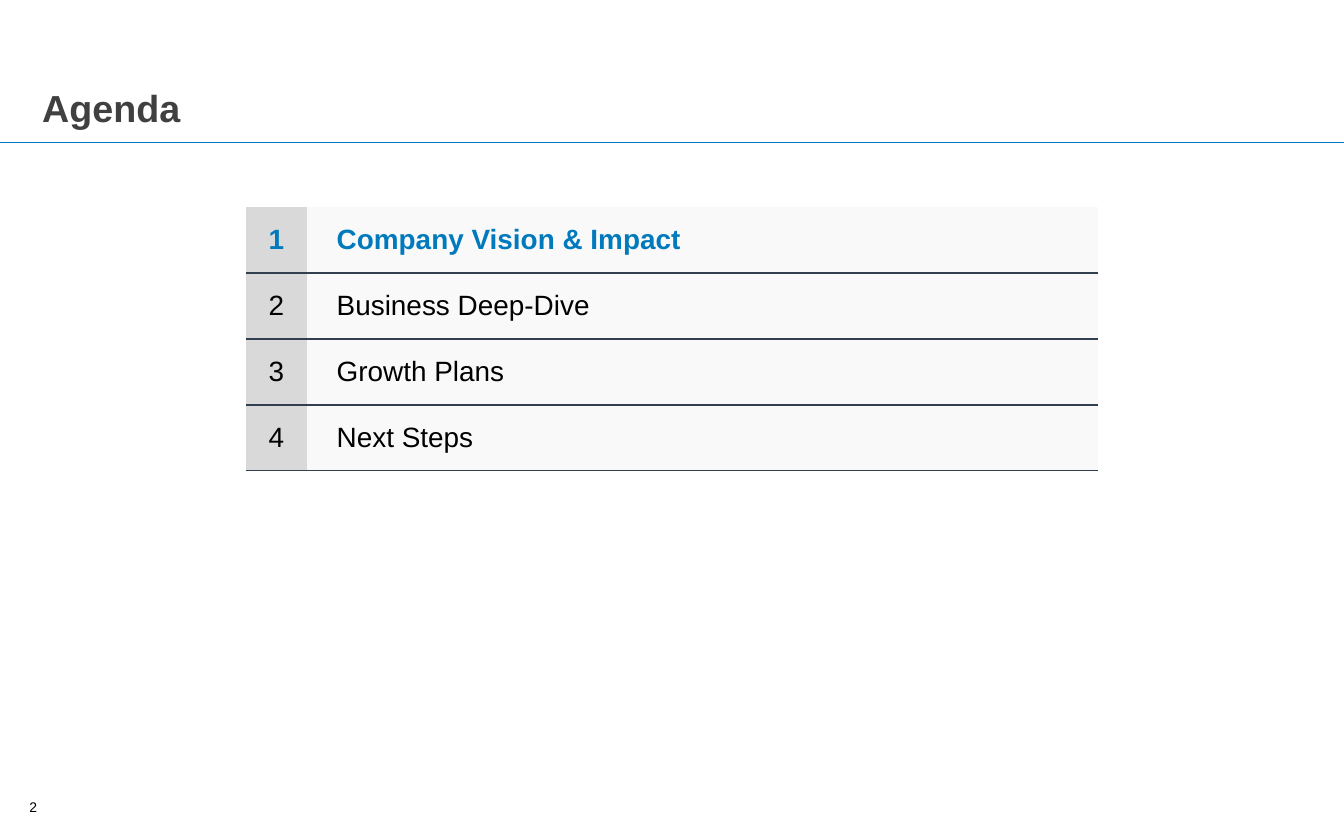
from lxml import etree
from pptx import Presentation
from pptx import util as u
from pptx.dml import color
from pptx.enum import shapes, text
from pptx.oxml import ns

SLIDE_W, SLIDE_H = u.Cm(34.01), u.Cm(21.01)
BLUE, NAVY, BLACK, DARK_GREY = "007ABC", "323F4F", "000000", "404040"
NUMBER_FILL, TOPIC_FILL = "D9D9D9", "FAF9F9"
TOPICS = ["Company Vision & Impact", "Business Deep-Dive", "Growth Plans", "Next Steps"]
CURRENT_TOPIC = 0


def rgb(hex_colour):
    return color.RGBColor.from_string(hex_colour)


def apply(target, formats):
    for name, value in formats.items():
        setattr(target, name, value)


def write(frame, words, size, hex_colour, bold=False, align=text.PP_ALIGN.LEFT):
    paragraph = frame.paragraphs[0]
    paragraph.alignment = align
    run = paragraph.add_run()
    run.text = words
    apply(run.font, {"name": "Arial", "size": u.Pt(size), "bold": bold})
    run.font.color.rgb = rgb(hex_colour)


def add_label(slide, box, words, size, hex_colour, right_inset=0, **style):
    frame = slide.shapes.add_textbox(*box).text_frame
    apply(frame, {"margin_left": 0, "margin_top": 0, "margin_bottom": 0,
                  "margin_right": right_inset, "word_wrap": True,
                  "vertical_anchor": text.MSO_ANCHOR.BOTTOM})
    write(frame, words, size, hex_colour, **style)


def set_borders(cell, sides):
    """Draw a 1 pt rule on the given sides and clear the others."""
    properties = cell._tc.get_or_add_tcPr()
    for position, side in enumerate("LRTB"):
        line = etree.Element(ns.qn(f"a:ln{side}"), w=str(u.Pt(1)))
        if side in sides:
            fill = etree.SubElement(line, ns.qn("a:solidFill"))
            etree.SubElement(fill, ns.qn("a:srgbClr"), val=NAVY)
        else:
            etree.SubElement(line, ns.qn("a:noFill"))
        properties.insert(position, line)


def add_header(slide, left, top, width, height):
    # Title, with a rule across the full slide below it
    add_label(slide, (left, top, width, height), "Agenda", 27, DARK_GREY, bold=True)
    rule_y = top + height + u.Cm(0.3)
    rule = slide.shapes.add_connector(shapes.MSO_CONNECTOR.STRAIGHT, 0, rule_y, SLIDE_W, rule_y)
    rule.line.color.rgb = rgb(BLUE)
    rule.line.width = u.Pt(0.75)
    etree.SubElement(rule._element.spPr, ns.qn("a:effectLst"))


def add_agenda(slide, left, top, width, height):
    agenda = slide.shapes.add_table(len(TOPICS), 2, left, top, width, height).table
    apply(agenda, {"first_row": False, "horz_banding": False})
    number_width = u.Cm(1.53)
    agenda.columns[0].width = number_width
    agenda.columns[1].width = width - number_width

    # One row per topic, the current one highlighted
    for row, topic in enumerate(TOPICS):
        current = row == CURRENT_TOPIC
        columns = [(str(row + 1), NUMBER_FILL, 0.25, text.PP_ALIGN.CENTER),
                   (topic, TOPIC_FILL, 0.76, text.PP_ALIGN.LEFT)]
        for column, (words, fill, inset, align) in enumerate(columns):
            cell = agenda.cell(row, column)
            cell.fill.solid()
            cell.fill.fore_color.rgb = rgb(fill)
            apply(cell, {"vertical_anchor": text.MSO_ANCHOR.MIDDLE,
                         "margin_left": u.Cm(inset), "margin_right": u.Cm(0.25),
                         "margin_top": u.Cm(0.13), "margin_bottom": u.Cm(0.13)})
            set_borders(cell, "B" if row == 0 else "TB")
            write(cell.text_frame, words, 20, BLUE if current else BLACK, current, align)


def add_page_number(slide, left, top, width, height):
    add_label(slide, (left, top, width, height), "2", 10, BLACK,
              right_inset=u.Cm(0.08), align=text.PP_ALIGN.RIGHT)


def main():
    deck = Presentation()
    apply(deck, {"slide_width": SLIDE_W, "slide_height": SLIDE_H})
    slide = deck.slides.add_slide(deck.slide_layouts[6])
    add_header(slide, u.Cm(1.07), u.Cm(2.16), u.Cm(31.72), u.Cm(1.14))
    add_agenda(slide, u.Cm(6.23), u.Cm(5.24), u.Cm(21.55), u.Cm(6.68))
    add_page_number(slide, u.Cm(0.36), u.Cm(20.27), u.Cm(0.66), u.Cm(0.38))
    deck.save("out.pptx")


if __name__ == "__main__":
    main()
